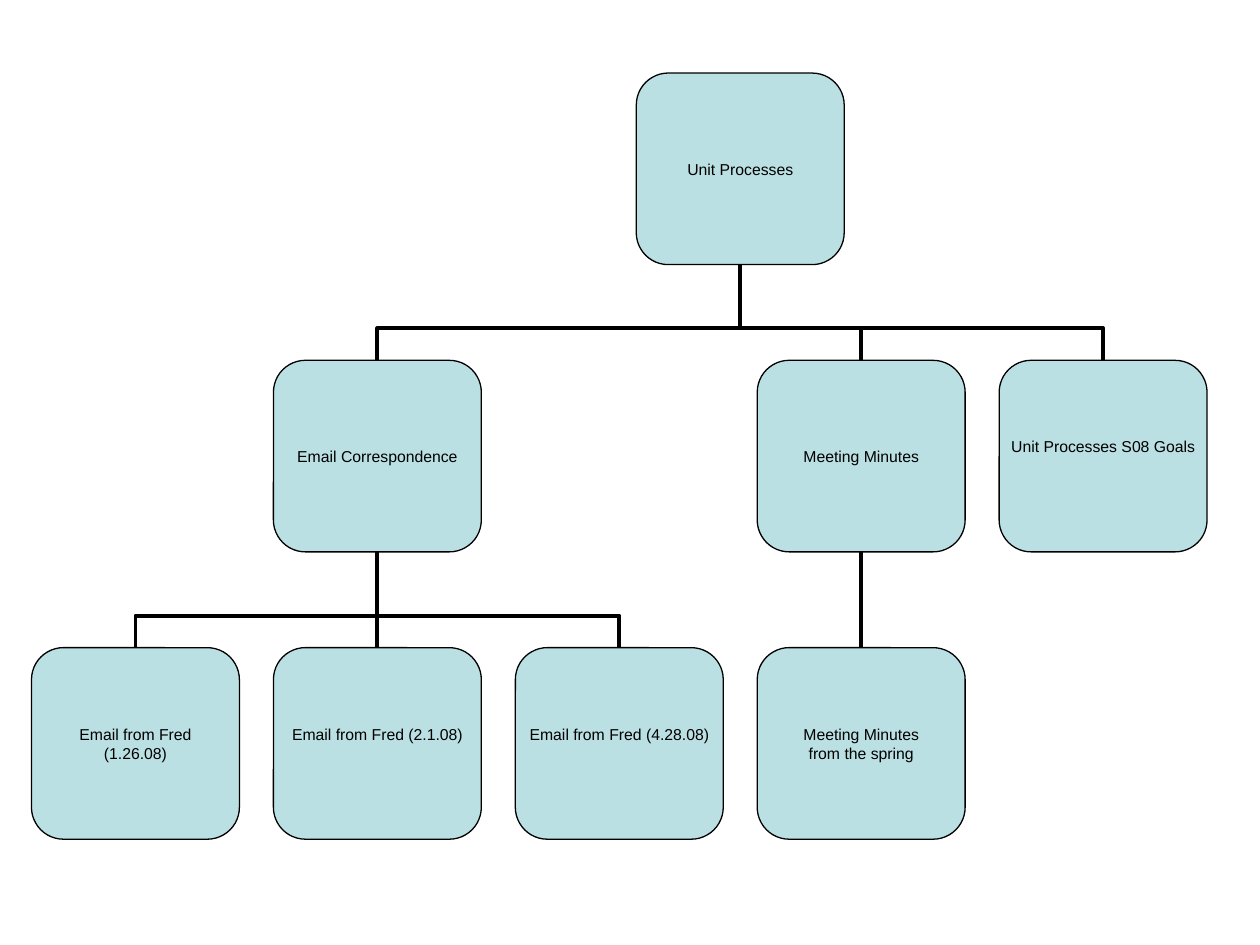
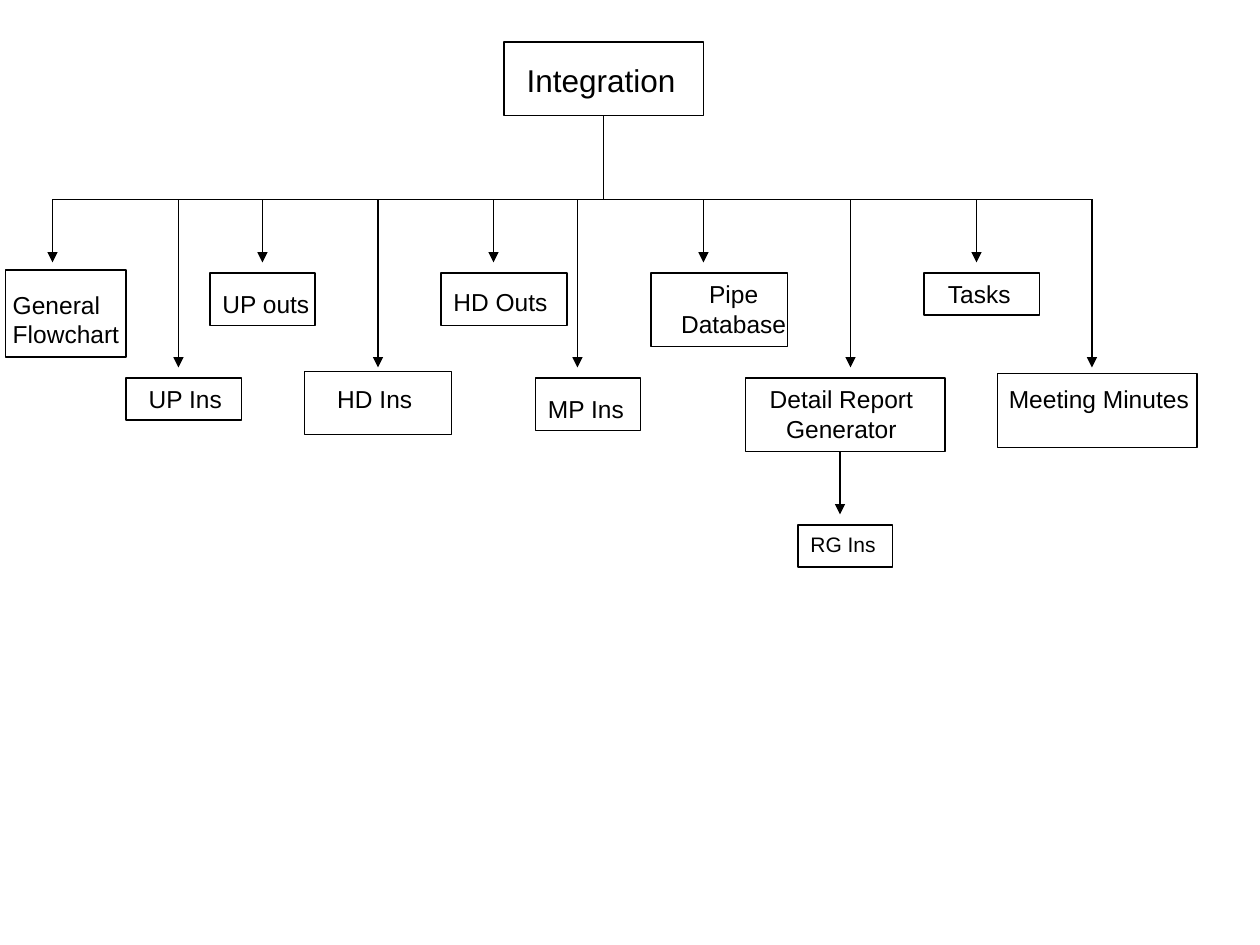
from pptx import Presentation
from pptx.dml.color import RGBColor
from pptx.enum.shapes import MSO_CONNECTOR as LINK, MSO_SHAPE as SHAPE
from pptx.enum.text import MSO_ANCHOR as ANCHOR, PP_ALIGN as ALIGN
from pptx.oxml.ns import qn
from pptx.util import Inches, Pt
from lxml.etree import SubElement

COLORS = {"ink": "000000", "tile": "BBE0E3"}
FONT = "Arial"
TOP, BOTTOM = 0, 2

# Process tree: columns and rows of equal tiles, in inches
TREE_LEFT, TREE_TOP = 0.25, 0.58
COLUMN_STEP, ROW_STEP = 1.92, 2.28
TILE_W, TILE_H = 1.65, 1.52
BEND = 0.334  # where an elbow turns, as a share of the way up

# Integration chart: a grid of twelve units to the inch
UNIT = 1 / 12
BUS_ROW, SHORT_END, LONG_END = 19, 25, 35

# key: (text, column, row, parent key, bottom inset that lifts the text)
PROCESSES = {
    "root": ("Unit Processes", 2.5, 0, None, 0),
    "email": ("Email Correspondence", 1, 1, "root", 0),
    "minutes": ("Meeting Minutes", 3, 1, "root", 0),
    "goals": ("Unit Processes S08 Goals", 4, 1, "root", 0.15),
    "january": ("Email from Fred\n(1.26.08)", 0, 2, "email", 0),
    "february": ("Email from Fred (2.1.08)", 1, 2, "email", 0.15),
    "april": ("Email from Fred (4.28.08)", 2, 2, "email", 0.15),
    "spring": ("Meeting Minutes\nfrom the spring", 3, 2, "minutes", 0),
}

# (text, column, row, columns wide, rows high, left and top inset in inches)
MODULES = [
    ("General\nFlowchart", 0.5, 25.7, 11.5, 8.3, 0.06, 0.16),
    ("UP Ins", 12, 36, 11, 4, 0.18, 0.05),
    ("UP outs", 20, 26, 10, 5, 0.1, 0.13),
    ("HD Ins", 29, 35.4, 14, 6, 0.26, 0.1),
    ("HD Outs", 42, 26, 12, 5, 0.1, 0.11),
    ("MP Ins", 51, 36, 10, 5, 0.1, 0.13),
    ("Tasks", 88, 26, 11, 4, 0.19, 0.05),
    ("Meeting Minutes", 95, 35.6, 19, 7, 0.09, 0.08),
]
CENTRED_MODULES = [
    ("Pipe\nDatabase", 62, 26, 13, 7, 0.23, 0.05),
    ("Detail Report\nGenerator", 71, 36, 19, 7, 0, 0.05, 0.06),
]
SHORT_DROPS = [5, 25, 47, 67, 93]
LONG_DROPS = [17, 36, 55, 81, 104]


def color(name):
    return RGBColor.from_string(COLORS[name])


def write(shape, text, size, align, anchor, insets):
    frame = shape.text_frame
    frame.vertical_anchor = anchor
    (frame.margin_left, frame.margin_top,
     frame.margin_right, frame.margin_bottom) = map(Inches, insets)
    frame.text = text
    for paragraph in frame.paragraphs:
        paragraph.alignment = align
        paragraph.font.name = FONT
        paragraph.font.size = Pt(size)
        paragraph.font.color.rgb = color("ink")


def outlined(slide, kind, left, top, width, height):
    shape = slide.shapes.add_shape(kind, *map(Inches, (left, top, width, height)))
    shape.shadow.inherit = False
    shape.line.color.rgb = color("ink")
    shape.line.width = Pt(0.75)
    return shape


def link(slide, kind, x1, y1, x2, y2, weight):
    connector = slide.shapes.add_connector(kind, *map(Inches, (x1, y1, x2, y2)))
    connector.line.color.rgb = color("ink")
    connector.line.width = Pt(weight)
    SubElement(connector._element.spPr, qn("a:effectLst"))
    return connector


def tile(slide, text, column, row, lift):
    shape = outlined(slide, SHAPE.ROUNDED_RECTANGLE, TREE_LEFT + column * COLUMN_STEP,
                     TREE_TOP + row * ROW_STEP, TILE_W, TILE_H)
    shape.fill.solid()
    shape.fill.fore_color.rgb = color("tile")
    write(shape, text, 9, ALIGN.CENTER, ANCHOR.MIDDLE, (0, 0, 0, lift))
    shape.text_frame.word_wrap = False
    return shape


def elbow(slide, child_x, child_y, parent_x, parent_y):
    """Rise from the child, turn across, and rise again to the parent."""
    rise, run = child_y - parent_y, abs(child_x - parent_x)
    left = (child_x + parent_x - rise) / 2
    top = (child_y + parent_y - run) / 2
    from_right = child_x > parent_x
    # The frame lies on its side, so it is drawn rise wide and run high, then turned
    start, end = (left, left + rise) if from_right else (left + rise, left)
    connector = link(slide, LINK.ELBOW, start, top + run, end, top, 2.25)
    properties = connector._element.spPr
    properties.find(qn("a:xfrm")).set("rot", str((270 if from_right else 90) * 60000))
    guides = properties.find(qn("a:prstGeom")).get_or_add_avLst()
    SubElement(guides, qn("a:gd"), name="adj1", fmla=f"val {round(BEND * 100000)}")


def branch(slide, child, parent, child_spot, parent_spot):
    """Join a tile to its parent; spots are (column, row)."""
    def middle(spot):
        return TREE_LEFT + spot[0] * COLUMN_STEP + TILE_W / 2

    child_x, parent_x = middle(child_spot), middle(parent_spot)
    child_y = TREE_TOP + child_spot[1] * ROW_STEP
    parent_y = TREE_TOP + parent_spot[1] * ROW_STEP + TILE_H
    if child_spot[0] == parent_spot[0]:
        stem = link(slide, LINK.STRAIGHT, child_x, child_y, parent_x, parent_y, 2.25)
        stem.begin_connect(child, TOP)
        stem.end_connect(parent, BOTTOM)
    else:
        elbow(slide, child_x, child_y, parent_x, parent_y)


def module(slide, text, column, row, columns, rows, inset_left, inset_top,
           inset_right=0, size=14, align=ALIGN.LEFT):
    shape = outlined(slide, SHAPE.RECTANGLE,
                     *(n * UNIT for n in (column, row, columns, rows)))
    shape.fill.background()
    write(shape, text, size, align, ANCHOR.TOP, (inset_left, inset_top, inset_right, 0))
    shape.text_frame.word_wrap = True
    return shape


def thin_line(slide, x1, y1, x2, y2, arrow=False):
    connector = link(slide, LINK.STRAIGHT, *(n * UNIT for n in (x1, y1, x2, y2)), 0.75)
    if arrow:
        SubElement(connector.line._get_or_add_ln(), qn("a:tailEnd"), type="triangle")
    return connector


def build_process_tree(slide):
    tiles = {key: tile(slide, text, column, row, lift)
             for key, (text, column, row, _, lift) in PROCESSES.items()}
    for key, (_, column, row, parent, _) in PROCESSES.items():
        if parent:
            branch(slide, tiles[key], tiles[parent], (column, row), PROCESSES[parent][1:3])


def build_integration_chart(slide):
    # Boxes
    integration = module(slide, "Integration", 48, 4, 19, 7, 0.18, 0.15, size=18)
    for entry in MODULES:
        module(slide, *entry)
    for entry in CENTRED_MODULES:
        module(slide, *entry, align=ALIGN.CENTER)
    module(slide, "RG Ins", 76, 50, 9, 4, 0.1, 0.05, size=12)

    # Stem, bus and the arrows that hang from it
    stem = thin_line(slide, 57.5, 11, 57.5, BUS_ROW)
    stem.begin_connect(integration, BOTTOM)
    thin_line(slide, SHORT_DROPS[0], BUS_ROW, LONG_DROPS[-1], BUS_ROW)
    for drops, end in ((SHORT_DROPS, SHORT_END), (LONG_DROPS, LONG_END)):
        for column in drops:
            thin_line(slide, column, BUS_ROW, column, end, arrow=True)
    thin_line(slide, 80, 43, 80, 49, arrow=True)


def main():
    deck = Presentation()
    deck.slide_width, deck.slide_height = Inches(10), Inches(7.5)
    blank = deck.slide_layouts[6]
    for build in (build_process_tree, build_integration_chart):
        build(deck.slides.add_slide(blank))
    deck.save("out.pptx")


if __name__ == "__main__":
    main()
